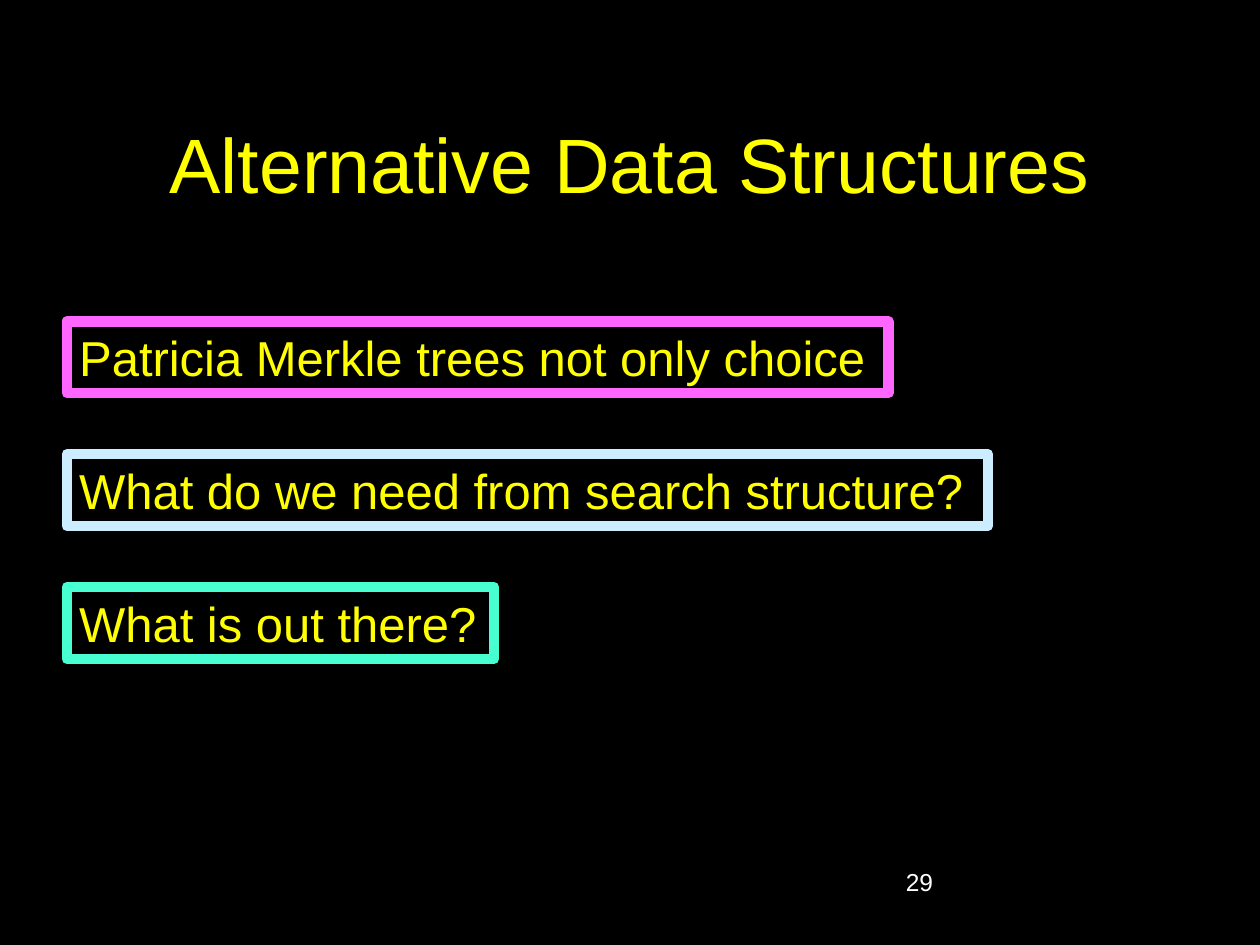
"""Build the "Alternative Data Structures" slide with three outlined statements."""
from pptx import Presentation
from pptx import util as u
from pptx.dml.color import RGBColor
from pptx.enum import shapes, text

BLACK = RGBColor(0x00, 0x00, 0x00)
WHITE = RGBColor(0xFF, 0xFF, 0xFF)
YELLOW = RGBColor(0xFF, 0xFF, 0x00)
PINK = RGBColor(0xFF, 0x66, 0xFF)
PALE_BLUE = RGBColor(0xCC, 0xEC, 0xFF)
MINT = RGBColor(0x47, 0xFF, 0xD1)


def write(frame, wording, size, color, align, anchor):
    frame.word_wrap = True
    frame.vertical_anchor = anchor
    paragraph = frame.paragraphs[0]
    paragraph.alignment = align
    run = paragraph.add_run()
    run.text = wording
    run.font.name = "Arial"
    run.font.size = u.Pt(size)
    run.font.color.rgb = color


deck = Presentation()
deck.slide_width, deck.slide_height = u.Inches(10), u.Inches(7.5)
slide = deck.slides.add_slide(deck.slide_layouts[5])
slide.background.fill.solid()
slide.background.fill.fore_color.rgb = BLACK

title = slide.shapes.title
title.left, title.top = u.Inches(0.75), u.Inches(0.67)
title.width, title.height = u.Inches(8.5), u.Inches(1.25)
write(title.text_frame, "Alternative Data Structures", 44, YELLOW,
      text.PP_ALIGN.CENTER, text.MSO_ANCHOR.MIDDLE)

page_number = slide.shapes.add_textbox(
    u.Inches(7.09), u.Inches(6.83), u.Inches(2.08), u.Inches(0.5))
write(page_number.text_frame, "29", 14, WHITE,
      text.PP_ALIGN.LEFT, text.MSO_ANCHOR.TOP)

statements = [
    ("Patricia Merkle trees not only choice", 6.52, PINK),
    ("What do we need from search structure?", 7.31, PALE_BLUE),
    ("What is out there?", 3.39, MINT),
]
for row, (wording, width, outline) in enumerate(statements):
    statement = slide.shapes.add_shape(
        shapes.MSO_SHAPE.RECTANGLE, u.Inches(0.53),
        u.Inches(2.55 + row * 1.055), u.Inches(width), u.Inches(0.57))
    statement.shadow.inherit = False
    statement.fill.solid()
    statement.fill.fore_color.rgb = BLACK
    statement.line.color.rgb = outline
    statement.line.width = u.Pt(6)
    write(statement.text_frame, wording, 28, YELLOW,
          text.PP_ALIGN.LEFT, text.MSO_ANCHOR.TOP)

deck.save("out.pptx")
